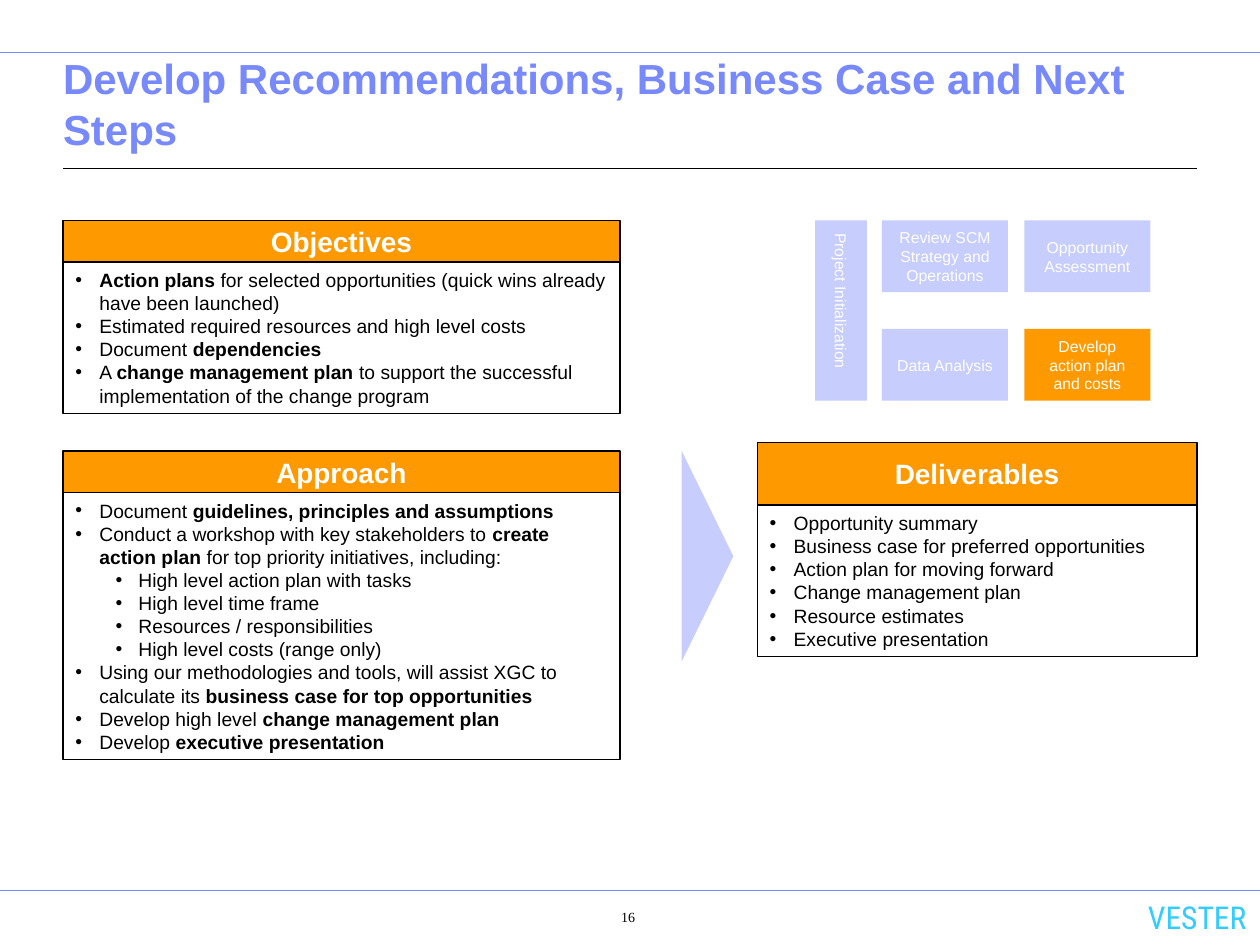
"""Builds the consulting slide on recommendations, business case and next steps."""
from lxml import etree
from pptx import Presentation
from pptx import util as u
from pptx.dml.color import RGBColor
from pptx.enum import shapes, text
from pptx.oxml import ns

COLUMNS, ROWS = 100, 75
WIDTH, HEIGHT = u.Inches(10), u.Inches(7.5)
ORANGE, LILAC, BLUE, BLACK, WHITE = "FF9900", "C7CDFD", "7889FB", "000000", "FFFFFF"

OBJECTIVES = [
    (0, "**Action plans** for selected opportunities (quick wins already have been launched)"),
    (0, "Estimated required resources and high level costs"),
    (0, "Document **dependencies**"),
    (0, "A **change management plan** to support the successful implementation of the change program"),
]
APPROACH = [
    (0, "Document **guidelines, principles and assumptions**"),
    (0, "Conduct a workshop with key stakeholders to **create action plan** for top priority initiatives, including:"),
    (1, "High level action plan with tasks"),
    (1, "High level time frame"),
    (1, "Resources / responsibilities"),
    (1, "High level costs (range only)"),
    (0, "Using our methodologies and tools, will assist XGC to calculate its **business case for top opportunities**"),
    (0, "Develop high level **change management plan**"),
    (0, "Develop **executive presentation**"),
]
DELIVERABLES = [(0, item) for item in (
    "Opportunity summary", "Business case for preferred opportunities",
    "Action plan for moving forward", "Change management plan",
    "Resource estimates", "Executive presentation")]
PHASES = [["Review SCM Strategy and Operations", "Opportunity Assessment"],
          ["Data Analysis", "Develop action plan and costs"]]


def colour(value):
    """Return the colour for a hex string."""
    return RGBColor.from_string(value)


def place(left, top, width, height):
    """Convert a box in grid columns and rows to slide lengths."""
    return (int(WIDTH * left / COLUMNS), int(HEIGHT * top / ROWS),
            int(WIDTH * width / COLUMNS), int(HEIGHT * height / ROWS))


def add_bullet(paragraph, level):
    """Give a paragraph the bullet and indent of its level."""
    margin, hang = ((0.19, 0.19), (0.5, 0.18))[level]
    paragraph.level = level
    properties = paragraph._p.get_or_add_pPr()
    properties.set("marL", str(u.Inches(margin)))
    properties.set("indent", str(-u.Inches(hang)))
    tint = etree.SubElement(properties, ns.qn("a:buClr"))
    etree.SubElement(tint, ns.qn("a:srgbClr"), val=BLACK)
    etree.SubElement(properties, ns.qn("a:buFont"), typeface="Arial")
    etree.SubElement(properties, ns.qn("a:buChar"), char="•")


def write(frame, items, size=11, font="Arial", ink=BLACK, bold=False, align="LEFT",
          anchor="MIDDLE", insets=(0.1, 0.05), wrap=True, bullets=False):
    """Fill a text frame with (level, wording) items, ** marking bold parts."""
    frame.word_wrap = wrap
    frame.vertical_anchor = text.MSO_ANCHOR[anchor]
    frame.margin_left = frame.margin_right = u.Inches(insets[0])
    frame.margin_top = frame.margin_bottom = u.Inches(insets[1])
    for index, (level, wording) in enumerate(items):
        paragraph = frame.add_paragraph() if index else frame.paragraphs[0]
        if bullets:
            add_bullet(paragraph, level)
        paragraph.alignment = text.PP_ALIGN[align]
        for part, words in enumerate(wording.split("**")):
            if words:
                run = paragraph.add_run()
                run.text = words
                run.font.size, run.font.name = u.Pt(size), font
                run.font.bold = bold or part % 2 == 1
                run.font.color.rgb = colour(ink)


def block(parent, box, fill=None, line=None, kind="RECTANGLE"):
    """Add a flat preset shape in the given box."""
    shape = parent.add_shape(shapes.MSO_SHAPE[kind], *place(*box))
    shape.shadow.inherit = False
    if fill:
        shape.fill.solid()
        shape.fill.fore_color.rgb = colour(fill)
    else:
        shape.fill.background()
    if line:
        shape.line.color.rgb = colour(line)
        shape.line.width = u.Pt(0.75)
    else:
        shape.line.fill.background()
    return shape


def rule(slide, left, right, row, ink, weight):
    """Draw a horizontal line between two columns."""
    x, y, width, _ = place(left, row, right - left, 0)
    line = slide.shapes.add_connector(shapes.MSO_CONNECTOR.STRAIGHT, x, y, x + width, y)
    line.line.color.rgb = colour(ink)
    line.line.width = u.Pt(weight)
    etree.SubElement(line._element.spPr, ns.qn("a:effectLst"))


def heading(slide, box, wording):
    """Place the title and the rule below it."""
    title = slide.shapes.title
    title.left, title.top, title.width, title.height = place(*box)
    write(title.text_frame, [(0, wording)], size=24, ink=BLUE, bold=True,
          anchor="BOTTOM", insets=(0, 0.05))
    left, top, width, height = box
    rule(slide, left, left + width, top + height + 0.7, BLACK, 0.75)


def panel(slide, box, header_rows, wording, items):
    """Place an orange header over a bordered bullet list."""
    left, top, width, height = box
    group = slide.shapes.add_group_shape().shapes
    body = block(group, (left, top + header_rows, width, height - header_rows), line=BLACK)
    write(body.text_frame, items, anchor="TOP", bullets=True)
    header = block(group, (left, top, width, header_rows), ORANGE, BLACK)
    write(header.text_frame, [(0, wording)], size=16, ink=WHITE, bold=True,
          align="CENTER", wrap=False)


def phase_map(slide, box, current):
    """Place the phase overview with the current phase highlighted."""
    left, top, width, height = box
    start = block(slide.shapes, (left, top, 4.1, height), LILAC)
    write(start.text_frame, [(0, "Project Initialization")], size=9, ink=WHITE,
          align="CENTER", insets=(0.05, 0.1))
    start.text_frame._txBody.bodyPr.set("vert", "eaVert")
    phase_width, phase_height = 10, 5.7
    first = left + 5.3
    column_step = left + width - phase_width - first
    row_step = height - phase_height
    for row, names in enumerate(PHASES):
        for column, name in enumerate(names):
            phase = block(slide.shapes, (first + column * column_step, top + row * row_step,
                                         phase_width, phase_height),
                          ORANGE if name == current else LILAC)
            write(phase.text_frame, [(0, name)], size=9, ink=WHITE, align="CENTER")


def flow_arrow(slide, box):
    """Place a triangle pointing right that fills the box."""
    left, top, width, height = box
    shift = (height - width) / 2
    arrow = block(slide.shapes, (left - shift, top + shift, height, width), LILAC,
                  kind="ISOSCELES_TRIANGLE")
    arrow.rotation = 90


def footer(slide, box):
    """Place the footer line, page number and firm name."""
    left, top, width, height = box
    rule(slide, left, left + width, top, BLUE, 0.5)
    number = slide.shapes.add_textbox(*place(left + 44.1, top + 0.7, 11.5, 3.5))
    write(number.text_frame, [(0, "16")], size=8, font="Times New Roman",
          align="CENTER", anchor="TOP", insets=(0.1, 0.07))
    firm = slide.shapes.add_textbox(*place(left + 89.7, top + 0.4, 10.2, 3.3))
    write(firm.text_frame, [(0, "VESTER")], size=18, font="Roboto Condensed",
          ink="33CCFF", align="RIGHT", wrap=False)


def main():
    """Build and save the slide."""
    deck = Presentation()
    deck.slide_width, deck.slide_height = WIDTH, HEIGHT
    slide = deck.slides.add_slide(deck.slide_layouts[5])
    rule(slide, 0, COLUMNS, 4.2, BLUE, 0.5)
    heading(slide, (5, 6.4, 90, 6.3), "Develop Recommendations, Business Case and Next Steps")
    panel(slide, (5, 17.5, 44.2, 15.3), 3.3, "Objectives", OBJECTIVES)
    panel(slide, (5, 35.8, 44.2, 24.5), 3.3, "Approach", APPROACH)
    panel(slide, (60.1, 35.1, 34.9, 17), 5, "Deliverables", DELIVERABLES)
    phase_map(slide, (64.7, 17.5, 26.6, 14.3), PHASES[1][1])
    flow_arrow(slide, (54.1, 35.8, 4.1, 16.7))
    footer(slide, (0, 70.7, COLUMNS, 4.3))
    deck.save("out.pptx")


if __name__ == "__main__":
    main()
